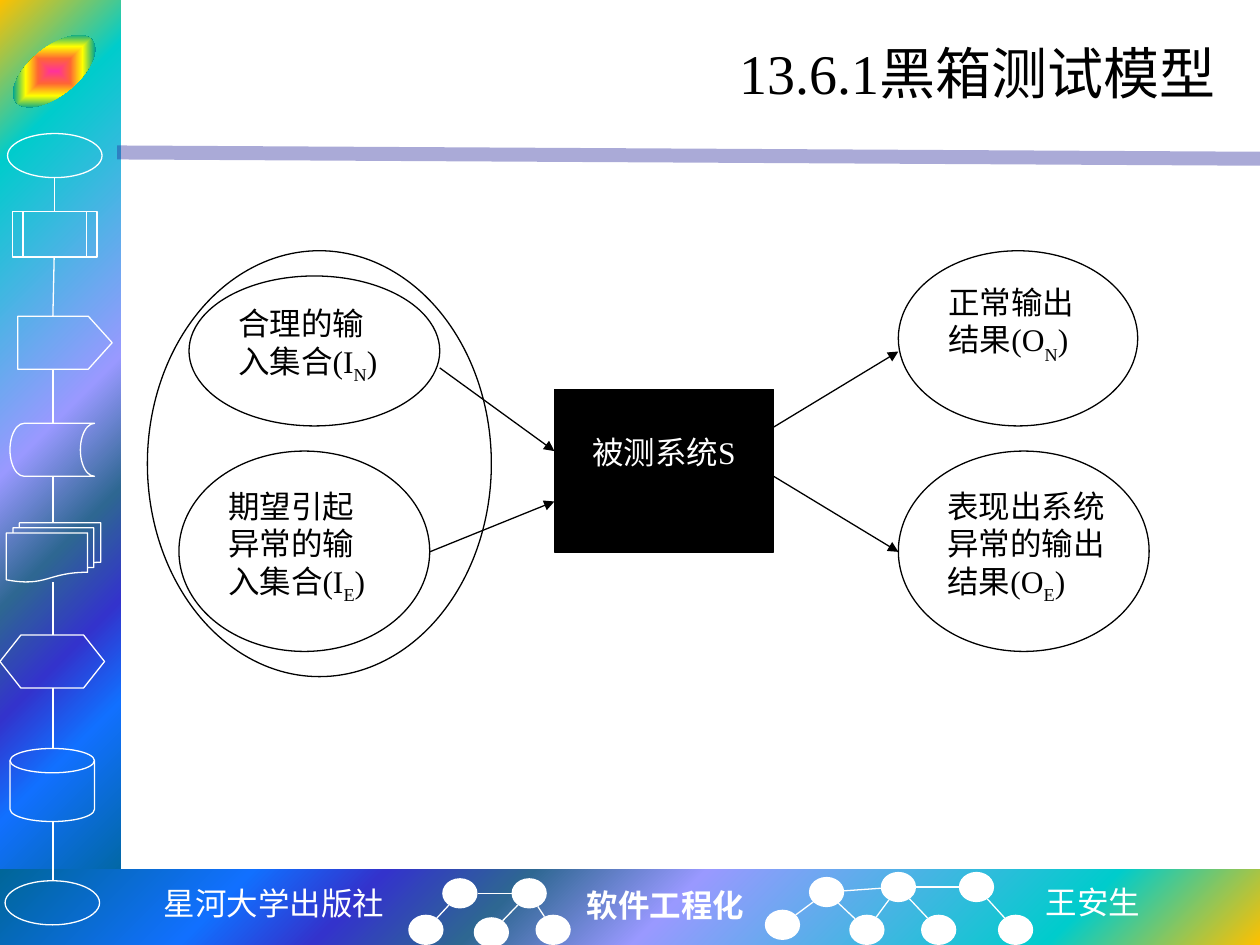
import math
from dataclasses import dataclass

import pptx
import pptx.dml.color
import pptx.enum.shapes
import pptx.enum.text
import pptx.oxml
import pptx.oxml.ns
import pptx.util

SHAPE = pptx.enum.shapes.MSO_SHAPE
ALIGN = pptx.enum.text.PP_ALIGN
ANCHOR = pptx.enum.text.MSO_ANCHOR
NS = pptx.oxml.ns.nsdecls("a")
UNIT = 0.1  # inches per column and per row: the slide has 100 columns, 75 rows


@dataclass(frozen=True)
class Theme:
    """Colours, fonts and sizes of the slide."""
    ink: str = "000000"
    paper: str = "FFFFFF"
    rule: str = "262699"
    rainbow: tuple = ((0, "FFC000"), (16, "00CCCC"), (47, "9999FF"), (60, "2E6792"),
                      (71, "3333CC"), (81, "1170FF"), (100, "006699"))
    badge: tuple = ((0, "FF3399"), (25, "FF6633"), (50, "FFFF00"),
                    (75, "01A78F"), (100, "3366FF"))
    serif: str = "Times New Roman"
    mono: str = "Noto Sans Mono"
    sans: str = "Noto Sans CJK SC"
    title: int = 32
    body: int = 18
    hairline: float = 0.75
    rule_width: int = 8


@dataclass(frozen=True)
class Box:
    """A region in columns and rows; its parts are placed from its corner."""
    col: float
    row: float
    cols: float
    rows: float

    def point(self, x, y):
        return (pptx.util.Inches((self.col + x) * UNIT),
                pptx.util.Inches((self.row + y) * UNIT))

    def frame(self, x, y, w, h):
        return (*self.point(x, y), pptx.util.Inches(w * UNIT), pptx.util.Inches(h * UNIT))


THEME = Theme()


def rgb(value):
    """Turn a hex string into a colour."""
    return pptx.dml.color.RGBColor.from_string(value)


def gradient(shape, stops, kind, focus):
    """Fill a shape with a path gradient around a focus (left, top, right, bottom)."""
    shape.fill.background()
    marks = "".join(f'<a:gs pos="{pos * 1000}"><a:srgbClr val="{c}"/></a:gs>'
                    for pos, c in stops)
    sides = " ".join(f'{side}="{v * 1000}"' for side, v in zip("ltrb", focus))
    empty = shape._element.spPr.find(pptx.oxml.ns.qn("a:noFill"))
    empty.getparent().replace(empty, pptx.oxml.parse_xml(
        f'<a:gradFill {NS} rotWithShape="1"><a:gsLst>{marks}</a:gsLst>'
        f'<a:path path="{kind}"><a:fillToRect {sides}/></a:path></a:gradFill>'))


def add_shape(slide, kind, frame, fill=None, line=None):
    """Add a preset shape with an optional plain fill and hairline."""
    shape = slide.shapes.add_shape(kind, *frame)
    shape.shadow.inherit = False
    if fill:
        shape.fill.solid()
        shape.fill.fore_color.rgb = rgb(fill)
    else:
        shape.fill.background()
    if line:
        shape.line.color.rgb = rgb(line)
        shape.line.width = pptx.util.Pt(THEME.hairline)
    else:
        shape.line.fill.background()
    return shape


def add_line(slide, start, end, color, width=THEME.hairline, arrow=False, alpha=None):
    """Add a straight line, with an arrowhead or transparency if asked."""
    line = slide.shapes.add_connector(pptx.enum.shapes.MSO_CONNECTOR.STRAIGHT, *start, *end)
    line.line.color.rgb = rgb(color)
    line.line.width = pptx.util.Pt(width)
    ln = line.line._get_or_add_ln()
    if arrow:
        ln.append(pptx.oxml.parse_xml(f'<a:tailEnd {NS} type="triangle"/>'))
    if alpha:
        ln.find(".//" + pptx.oxml.ns.qn("a:srgbClr")).append(
            pptx.oxml.parse_xml(f'<a:alpha {NS} val="{alpha * 1000}"/>'))
    line._element.spPr.append(pptx.oxml.parse_xml(f"<a:effectLst {NS}/>"))


def write(shape, runs, color, size=THEME.body, font=THEME.serif, align=ALIGN.LEFT,
          anchor=ANCHOR.TOP, wrap=True, bold=False, insets=(0.1, 0.05, 0.1, 0.05)):
    """Write one paragraph; each run is (text, baseline shift in percent)."""
    frame = shape.text_frame
    frame.word_wrap = wrap
    frame.vertical_anchor = anchor
    (frame.margin_left, frame.margin_top,
     frame.margin_right, frame.margin_bottom) = map(pptx.util.Inches, insets)
    paragraph = frame.paragraphs[0]
    paragraph.alignment = align
    for text, shift in runs:
        run = paragraph.add_run()
        run.text = text
        run.font.size = pptx.util.Pt(size)
        run.font.name = font
        run.font.bold = bold
        run.font.color.rgb = rgb(color)
        if shift:
            run.font._element.set("baseline", str(shift * 1000))


def draw_bands(slide, box):
    """Draw the two rainbow bands and the rule under the title."""
    for frame, focus in (((0, 0, 9.6, 70.9), (0, 0, 100, 100)),
                         ((0, 69, box.cols, 6), (100, 100, 0, 0))):
        band = add_shape(slide, SHAPE.RECTANGLE, box.frame(*frame))
        gradient(band, THEME.rainbow, "circle", focus)
    add_line(slide, box.point(9.3, 12.1), box.point(box.cols, 12.6),
             THEME.rule, THEME.rule_width, alpha=39)


def draw_sidebar(slide, box):
    """Draw the badge and the chain of flow-chart symbols."""
    badge = add_shape(slide, SHAPE.OVAL, box.frame(0.4, 3.75, 7.8, 3.8))
    gradient(badge, THEME.badge, "shape", (50, 50, 50, 50))
    badge.rotation = -39
    symbols = (  # kind, left, top, width, height, column of the link
        (SHAPE.OVAL, 0.6, 10.6, 7.5, 3.5, 4.3),
        (SHAPE.FLOWCHART_PREDEFINED_PROCESS, 1, 16.8, 6.7, 3.6, 4.3),
        (SHAPE.PENTAGON, 1.4, 25.1, 7.5, 4.2, 4.2),
        (SHAPE.FLOWCHART_STORED_DATA, 0.8, 33.6, 6.7, 4.2, 4.2),
        (SHAPE.FLOWCHART_MULTIDOCUMENT, 0.5, 41.5, 7.5, 4.7, 4.2),
        (SHAPE.FLOWCHART_PREPARATION, 0, 50.4, 8.3, 4.2, 4.2),
        (SHAPE.FLOWCHART_MAGNETIC_DISK, 0.8, 59.4, 6.7, 5.8, 4.2),
        (SHAPE.OVAL, 0.4, 69.9, 7.5, 3.5, 4.2),
    )
    for kind, *frame, _ in symbols:
        symbol = add_shape(slide, kind, box.frame(*frame), line=THEME.paper)
        if kind == SHAPE.PENTAGON:
            symbol.adjustments[0] = 0.45
    for upper, lower in zip(symbols, symbols[1:]):
        add_line(slide, box.point(upper[5], upper[2] + upper[4]),
                 box.point(lower[5], lower[2]), THEME.paper)


def draw_network(slide, box, nodes, links):
    """Draw round nodes, given by their corners, and links that stop at their edges."""
    rx, ry = 1.4, 1.2
    for x, y in nodes:
        add_shape(slide, SHAPE.OVAL, box.frame(x, y, 2 * rx, 2 * ry), fill=THEME.paper)
    for a, b in links:
        (ax, ay), (bx, by) = nodes[a], nodes[b]
        dx, dy = bx - ax, by - ay
        trim = 1 / math.hypot(dx / rx, dy / ry)
        add_line(slide, box.point(ax + rx + dx * trim, ay + ry + dy * trim),
                 box.point(bx + rx - dx * trim, by + ry - dy * trim), THEME.paper)


def draw_footer(slide, box):
    """Draw the footer labels with a network on either side of the middle one."""
    for frame, text, font, align, bold in (
            ((11.9, 0.7, 19.7, 4), "星河大学出版社", THEME.mono, ALIGN.CENTER, False),
            ((45.6, 0.8, 14.6, 4), "软件工程化", THEME.serif, ALIGN.LEFT, True),
            ((82, 0.6, 9.6, 4), "王安生", THEME.sans, ALIGN.LEFT, False)):
        label = slide.shapes.add_textbox(*box.frame(*frame))
        write(label, [(text, 0)], THEME.paper, font=font, align=align, wrap=False, bold=bold)
    draw_network(slide, box,
                 ((32.4, 3.6), (35.1, 0.7), (40.6, 0.7), (37.6, 3.8), (42.5, 3.6)),
                 ((0, 1), (1, 2), (2, 3), (2, 4)))
    draw_network(slide, box,
                 ((60.7, 3.2), (64.2, 0.6), (67.4, 3.6), (69.9, 0.2),
                  (73.1, 3.6), (76.1, 0.2), (79.2, 3.6)),
                 ((0, 1), (1, 2), (1, 3), (2, 3), (3, 4), (3, 5), (5, 6)))


def draw_title(slide, box):
    """Write the slide title."""
    title = slide.shapes.add_textbox(*box.frame(0, 0, box.cols, box.rows))
    write(title, [("13.6.1黑箱测试模型", 0)], THEME.ink, THEME.title,
          align=ALIGN.RIGHT, anchor=ANCHOR.MIDDLE)


def draw_model(slide, box):
    """Draw the input sets, the system under test, the outputs and the arrows."""
    for frame, text, mark, shift, left, right in (
            ((3.3, 2, 19.9, 11.9), "合理的输入集合(I", "N", -25, 0.1, 0.1),
            ((2.5, 15.9, 19.9, 15.9), "期望引起异常的输入集合(I", "E", -25, 0.1, 0.08),
            ((59.6, 0, 19, 13.9), "正常输出结果(O", "N", -30, 0.12, 0.08),
            ((59.6, 15.9, 19.9, 15.9), "表现出系统异常的输出结果(O", "E", -25, 0.1, 0.04)):
        data_set = add_shape(slide, SHAPE.OVAL, box.frame(*frame), line=THEME.ink)
        write(data_set, [(text, 0), (mark, shift), (")", 0)], THEME.ink,
              insets=(left, 0.05, right, 0.05))
    add_shape(slide, SHAPE.OVAL, box.frame(0, 0, 27.3, box.rows), line=THEME.ink)
    system = add_shape(slide, SHAPE.RECTANGLE, box.frame(32.3, 11, 17.4, 12.9),
                       THEME.ink, THEME.ink)
    write(system, [("被测系统S", 0)], THEME.paper, align=ALIGN.CENTER,
          insets=(0.1, 0.35, 0.1, 0.05))
    for start, end in (((23.2, 9.3), (32.3, 15.9)), ((22.4, 23.9), (32.3, 19.9)),
                       ((49.7, 14), (59.6, 8)), ((49.7, 17.9), (59.6, 23.9))):
        add_line(slide, box.point(*start), box.point(*end), THEME.ink, arrow=True)


deck = pptx.Presentation()
deck.slide_width, deck.slide_height = pptx.util.Inches(10), pptx.util.Inches(7.5)
page = deck.slides.add_slide(deck.slide_layouts[6])
draw_bands(page, Box(0, 0, 100, 75))
draw_sidebar(page, Box(0, 0, 9.6, 75))
draw_footer(page, Box(0, 69, 100, 6))
draw_title(page, Box(12.5, 1.7, 85, 8.1))
draw_model(page, Box(11.7, 19.9, 79.5, 33.8))
deck.save("out.pptx")
